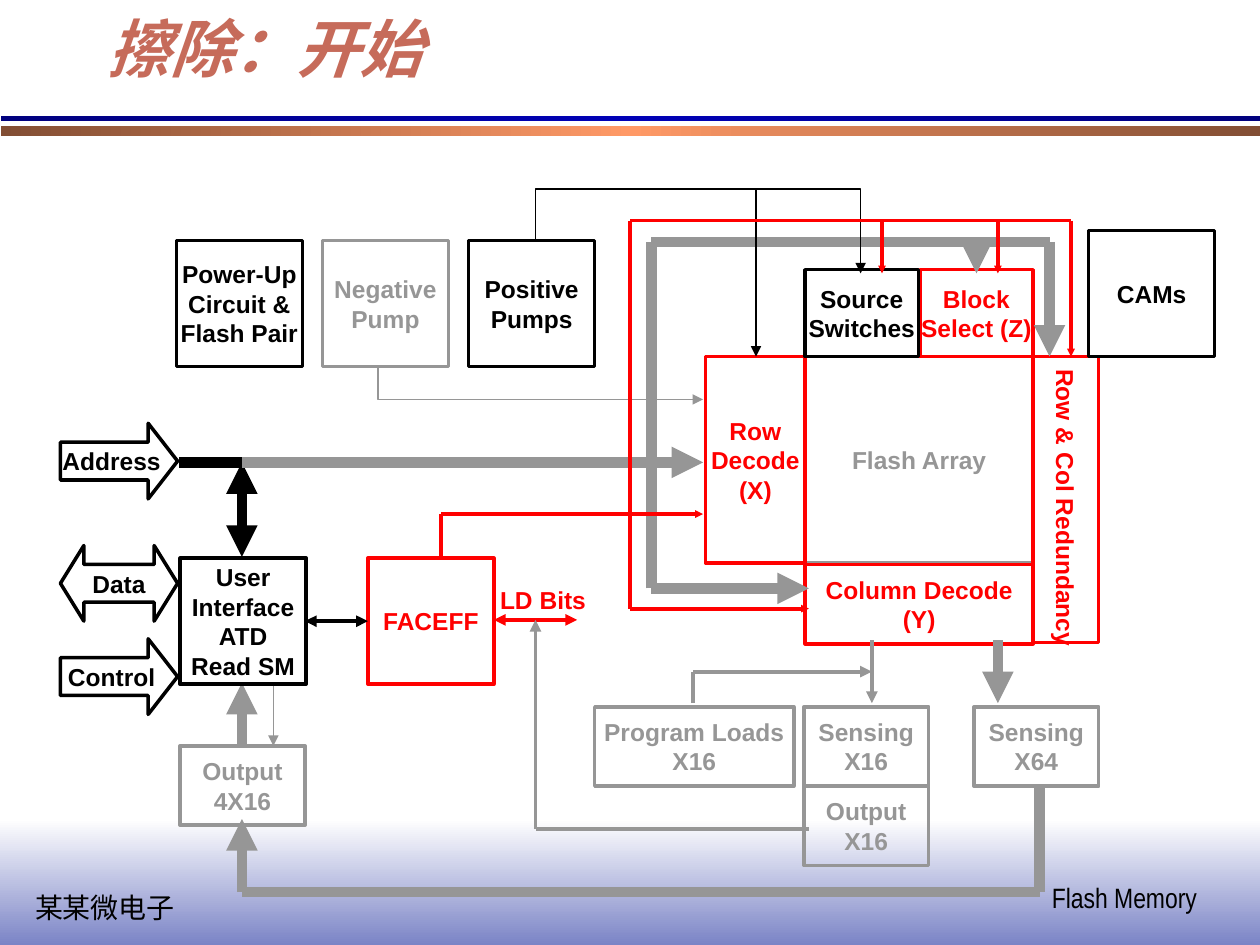
from copy import deepcopy
from dataclasses import dataclass
from itertools import pairwise

from lxml.etree import SubElement
from pptx import Presentation
from pptx.dml.color import RGBColor
from pptx.enum.shapes import MSO_CONNECTOR, MSO_SHAPE
from pptx.enum.text import MSO_ANCHOR, MSO_AUTO_SIZE, PP_ALIGN
from pptx.oxml.ns import qn
from pptx.util import Inches, Pt


@dataclass(frozen=True)
class Theme:
    active: str = "FF0000"
    ready: str = "000000"
    idle: str = "969696"
    title: str = "C66B5A"
    footer_fade: tuple = ("FFFFFF", "7B84C6")
    copper_bar: tuple = ("824E34", "FF9966", "824E34")
    navy_bar: tuple = ("00007E", "0000B6", "00007E")
    label_font: str = "Arial"
    frame_font: str = "Arial Narrow"
    title_size: int = 36
    footer_size: int = 16
    label_size: int = 14
    outline: float = 2
    thin: float = 1
    medium: float = 2.25
    bus: float = 6


THEME = Theme()
ACTIVE, READY, IDLE = THEME.active, THEME.ready, THEME.idle
THIN, MEDIUM, BUS = THEME.thin, THEME.medium, THEME.bus


@dataclass(frozen=True)
class Block:
    text: str
    left: float
    top: float
    width: float
    height: float
    color: str
    kind: MSO_SHAPE = MSO_SHAPE.FLOWCHART_PROCESS
    adjustments: tuple = ()
    vertical: bool = False


@dataclass(frozen=True)
class Wire:
    points: tuple
    color: str
    width: float
    start_arrow: bool = False
    end_arrow: bool = True
    arrow_size: str = "med"
    one_piece: bool = False


def write_lines(frame, text: str, size: int, color: str, font: str,
                bold: bool = False, align=None) -> None:
    frame.word_wrap = False
    frame.text = text
    for paragraph in frame.paragraphs:
        paragraph.alignment = align
        paragraph.font.size = Pt(size)
        paragraph.font.name = font
        paragraph.font.bold = bold
        paragraph.font.color.rgb = RGBColor.from_string(color)


def add_label(slide, text: str, left: float, top: float, width: float, height: float,
              size: int, color: str, font: str, bold: bool = False) -> None:
    label = slide.shapes.add_textbox(Inches(left), Inches(top), Inches(width), Inches(height))
    write_lines(label.text_frame, text, size, color, font, bold)


def add_band(slide, left: float, top: float, width: float, height: float,
             colors: tuple, angle: int) -> None:
    band = slide.shapes.add_shape(MSO_SHAPE.RECTANGLE, Inches(left), Inches(top),
                                  Inches(width), Inches(height))
    band.shadow.inherit = False
    band.line.fill.background()
    band.fill.gradient()
    band.fill.gradient_angle = angle
    stops = next(band._element.iter(qn("a:gsLst")))
    for _ in colors[2:]:
        stops.insert(1, deepcopy(stops[0]))
    for i, (stop, color) in enumerate(zip(band.fill.gradient_stops, colors)):
        stop.position = i / (len(colors) - 1)
        stop.color.rgb = RGBColor.from_string(color)


def add_block(slide, block: Block) -> None:
    shape = slide.shapes.add_shape(block.kind, Inches(block.left), Inches(block.top),
                                   Inches(block.width), Inches(block.height))
    shape.shadow.inherit = False
    shape.fill.background()
    shape.line.color.rgb = RGBColor.from_string(block.color)
    shape.line.width = Pt(THEME.outline)
    for i, value in enumerate(block.adjustments):
        shape.adjustments[i] = value
    frame = shape.text_frame
    frame.vertical_anchor = MSO_ANCHOR.MIDDLE
    write_lines(frame, block.text, THEME.label_size, block.color, THEME.label_font,
                True, PP_ALIGN.CENTER)
    if block.vertical:
        frame._txBody.bodyPr.set("vert", "eaVert")
        frame.margin_left = frame.margin_right = Inches(0.05)
        frame.margin_top = frame.margin_bottom = Inches(0.1)


def style_wire(shape, wire: Wire, start_arrow: bool, end_arrow: bool) -> None:
    shape.line.color.rgb = RGBColor.from_string(wire.color)
    shape.line.width = Pt(wire.width)
    line = shape.line._get_or_add_ln()
    for tag, wanted in (("a:headEnd", start_arrow), ("a:tailEnd", end_arrow)):
        if wanted:
            SubElement(line, qn(tag), type="triangle", w=wire.arrow_size, len=wire.arrow_size)


def add_wire(slide, wire: Wire) -> None:
    points = [(Inches(x), Inches(y)) for x, y in wire.points]
    if wire.one_piece:
        builder = slide.shapes.build_freeform(*points[0])
        builder.add_line_segments(points[1:], close=False)
        path = builder.convert_to_shape()
        path.shadow.inherit = False
        path.fill.background()
        style_wire(path, wire, wire.start_arrow, wire.end_arrow)
        return
    segments = list(pairwise(points))
    for i, (start, end) in enumerate(segments):
        segment = slide.shapes.add_connector(MSO_CONNECTOR.STRAIGHT, *start, *end)
        style_wire(segment, wire, wire.start_arrow and i == 0,
                   wire.end_arrow and i == len(segments) - 1)
        SubElement(segment._element.spPr, qn("a:effectLst"))


def address_bus(*points: tuple, end_arrow: bool = True) -> Wire:
    return Wire(points, IDLE, BUS, end_arrow=end_arrow)


def control_line(*points: tuple, end_arrow: bool = True) -> Wire:
    return Wire(points, ACTIVE, MEDIUM, end_arrow=end_arrow, arrow_size="sm")


INPUT = (MSO_SHAPE.RIGHT_ARROW, (0.5, 0.389))
IN_OUT = (MSO_SHAPE.LEFT_RIGHT_ARROW, (0.5, 0.31))

# Parts from back to front
PARTS = [
    # Interface pins and controller
    Block("Control", 0.48, 5.07, 0.93, 0.6, READY, *INPUT),
    Block("Data", 0.48, 4.33, 0.93, 0.6, READY, *IN_OUT),
    Block("FACEFF", 2.92, 4.43, 1, 1, ACTIVE),
    # Array and decoders
    Block("Flash Array", 6.39, 2.83, 1.81, 1.64, IDLE),
    Block("Row & Col Redundancy", 8.2, 2.83, 0.52, 2.27, ACTIVE, vertical=True),
    Block("Column Decode\n(Y)", 6.39, 4.48, 1.81, 0.63, ACTIVE),
    Block("Row\nDecode\n(X)", 5.6, 2.83, 0.79, 1.64, ACTIVE),
    Block("Block\nSelect (Z)", 7.3, 2.14, 0.9, 0.69, ACTIVE),
    Block("CAMs", 8.64, 1.83, 1, 1, READY),
    # Sensing and outputs
    Block("Program Loads\nX16", 4.72, 5.61, 1.58, 0.63, IDLE),
    Block("Sensing\nX16", 6.38, 5.61, 0.99, 0.63, IDLE),
    Block("Output\nX16", 6.38, 6.24, 0.99, 0.63, IDLE),
    Block("Sensing\nX64", 7.73, 5.61, 0.99, 0.63, IDLE),
    Block("Output\n4X16", 1.43, 5.92, 0.99, 0.63, IDLE),
    # Power-up and pumps
    Block("Power-Up\nCircuit &\nFlash Pair", 1.4, 1.91, 1, 1, READY),
    Block("Negative\nPump", 2.56, 1.91, 1, 1, IDLE),
    Block("Positive\nPumps", 3.72, 1.91, 1, 1, READY),
    # Data paths
    Wire(((3, 2.92), (3, 3.17), (5.58, 3.17)), IDLE, THIN, one_piece=True),
    Wire(((6.92, 5.08), (6.92, 5.58)), IDLE, MEDIUM),
    Wire(((7.92, 5.08), (7.92, 5.58)), IDLE, BUS),
    Wire(((5.5, 5.58), (5.5, 5.33), (6.92, 5.33)), IDLE, MEDIUM),
    Wire(((3.92, 4.92), (4.58, 4.92)), ACTIVE, MEDIUM, start_arrow=True),
    Wire(((6.42, 6.58), (4.25, 6.58), (4.25, 4.92)), IDLE, MEDIUM),
    Wire(((8.25, 6.25), (8.25, 7.08), (1.92, 7.08), (1.92, 6.5)), IDLE, BUS),
    Wire(((2.42, 4.93), (2.92, 4.93)), READY, MEDIUM, start_arrow=True),
    Wire(((1.92, 5.92), (1.92, 5.42)), IDLE, BUS),
    Wire(((2.17, 5.42), (2.17, 5.92)), IDLE, THIN),
    Block("User\nInterface\nATD\nRead SM", 1.43, 4.43, 1, 1, READY),
    # Address bus
    Block("Address", 0.48, 3.36, 0.93, 0.6, READY, *INPUT),
    Wire(((1.92, 3.67), (1.92, 4.42)), READY, BUS, start_arrow=True),
    address_bus((1.92, 3.67), (5.58, 3.67)),
    address_bus((5.17, 4.67), (6.42, 4.67)),
    address_bus((5.17, 4.67), (5.17, 1.92), (8.33, 1.92), (8.33, 2.83)),
    address_bus((7.75, 1.92), (7.75, 2.17)),
    # Positive pump supply
    Wire(((4.25, 1.92), (4.25, 1.5), (6.83, 1.5), (6.83, 2.17)), READY, THIN, one_piece=True),
    Wire(((6, 1.5), (6, 2.83)), READY, THIN),
    Block("Source\nSwitches", 6.39, 2.14, 0.9, 0.69, READY),
    Wire(((1.42, 3.67), (1.92, 3.67)), READY, BUS, end_arrow=False),
    # Erase control lines
    control_line((5, 4.83), (5, 1.75), (8.5, 1.75), (8.5, 2.83)),
    control_line((5, 4.83), (6.42, 4.83)),
    control_line((3.5, 4.42), (3.5, 4.08), (5.58, 4.08)),
    control_line((7.92, 1.75), (7.92, 2.17)),
    control_line((7, 1.75), (7, 2.17)),
]


def add_frame(slide) -> None:
    """Footer, title rules and title."""
    add_band(slide, 0, 6.5, 10, 1, THEME.footer_fade, 270)
    for text, *place in (("某某微电子", 0.18, 7.02, 1.31, 0.37),
                         ("Flash Memory", 8.25, 6.94, 1.35, 0.37)):
        add_label(slide, text, *place, THEME.footer_size, READY, THEME.frame_font)
    add_band(slide, 0.01, 1, 9.99, 0.08, THEME.copper_bar, 0)
    add_band(slide, 0.01, 0.92, 9.99, 0.04, THEME.navy_bar, 0)

    title = slide.shapes.title
    title.left, title.top, title.width, title.height = map(Inches, (0.75, 0, 8.5, 0.83))
    frame = title.text_frame
    write_lines(frame, "擦除：开始", THEME.title_size, THEME.title, THEME.frame_font,
                True, PP_ALIGN.LEFT)
    frame.word_wrap = True
    frame.auto_size = MSO_AUTO_SIZE.NONE
    frame.vertical_anchor = MSO_ANCHOR.MIDDLE
    frame.paragraphs[0].font.italic = True
    frame.paragraphs[0].line_spacing = 0.88


def main() -> None:
    deck = Presentation()
    deck.slide_width, deck.slide_height = Inches(10), Inches(7.5)
    slide = deck.slides.add_slide(deck.slide_layouts[5])
    add_frame(slide)
    for part in PARTS:
        if isinstance(part, Block):
            add_block(slide, part)
        else:
            add_wire(slide, part)
    add_label(slide, "LD Bits", 3.87, 4.59, 0.88, 0.34, THEME.label_size, ACTIVE,
              THEME.label_font, True)
    deck.save("out.pptx")


if __name__ == "__main__":
    main()
